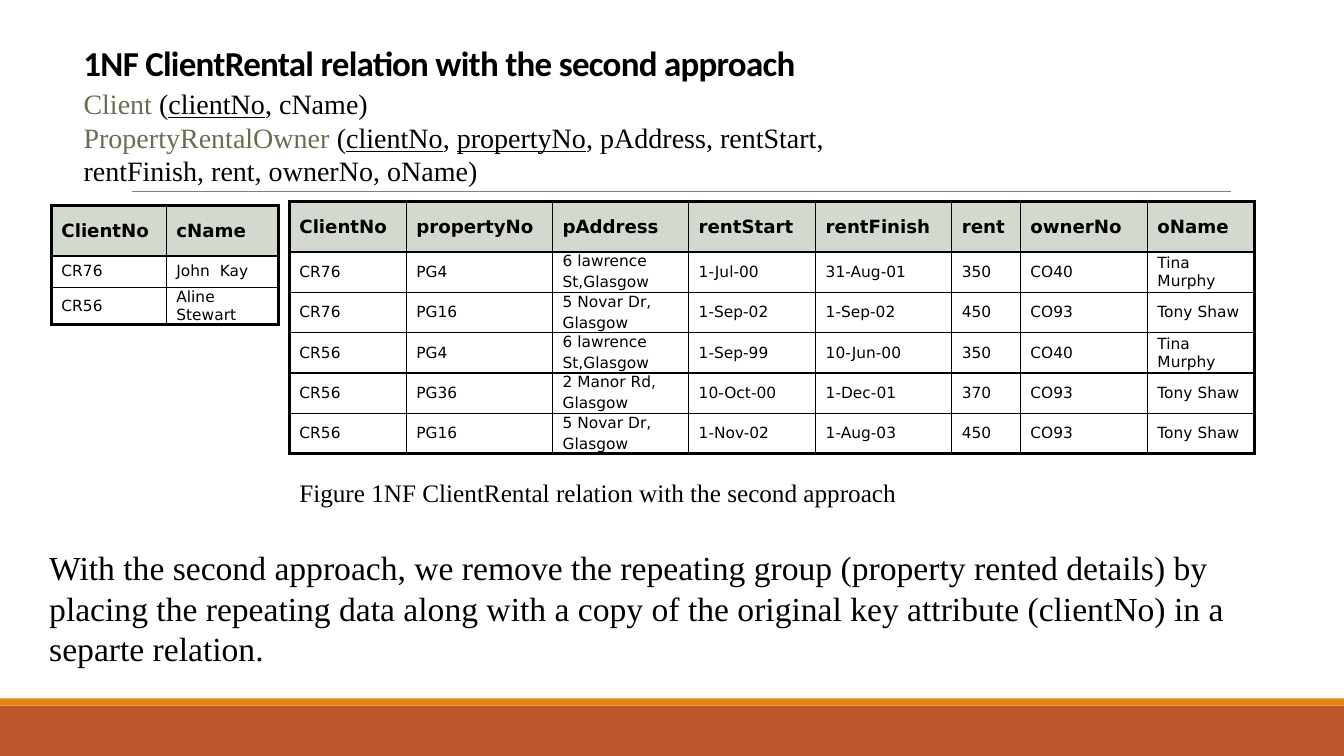
from pptx import Presentation
from pptx.dml.color import RGBColor
from pptx.enum.shapes import MSO_CONNECTOR as Link, MSO_SHAPE as Shape
from pptx.enum.text import MSO_ANCHOR as Anchor
from pptx.oxml import parse_xml
from pptx.oxml.ns import nsdecls
from pptx.util import Inches, Pt

BLACK = RGBColor(0x00, 0x00, 0x00)
RUST = RGBColor(0xBD, 0x58, 0x2C)
ORANGE = RGBColor(0xE4, 0x83, 0x12)
GREY = RGBColor(0x80, 0x80, 0x80)
GREEN = RGBColor(0x63, 0x70, 0x52)
SAGE = RGBColor(0xD4, 0xD9, 0xCF)
SERIF, SANS, HEAD = "Times New Roman", "DejaVu Sans", "Calibri"
THICK, THIN = 2.25, 1

CLIENTS = [
    ["ClientNo", "cName"],
    ["CR76", "John  Kay"],
    ["CR56", "Aline Stewart"],
]
RENTALS = [
    ["ClientNo", "propertyNo", "pAddress", "rentStart",
     "rentFinish", "rent", "ownerNo", "oName"],
    ["CR76", "PG4", "6 lawrence\nSt,Glasgow", "1-Jul-00",
     "31-Aug-01", "350", "CO40", "Tina Murphy"],
    ["CR76", "PG16", "5 Novar Dr,\nGlasgow", "1-Sep-02",
     "1-Sep-02", "450", "CO93", "Tony Shaw"],
    ["CR56", "PG4", "6 lawrence\nSt,Glasgow", "1-Sep-99",
     "10-Jun-00", "350", "CO40", "Tina Murphy"],
    ["CR56", "PG36", "2 Manor Rd,\nGlasgow", "10-Oct-00",
     "1-Dec-01", "370", "CO93", "Tony Shaw"],
    ["CR56", "PG16", "5 Novar Dr,\nGlasgow", "1-Nov-02",
     "1-Aug-03", "450", "CO93", "Tony Shaw"],
]


def write(para, text, size, face=SERIF, color=BLACK, bold=False, under=False, track=0):
    """Add one run; track is letter spacing in points."""
    run = para.add_run()
    run.text = text
    font = run.font
    font.name, font.size, font.bold, font.underline = face, Pt(size), bold, under
    font.color.rgb = color
    if track:
        run._r.get_or_add_rPr().set("spc", str(int(track * 100)))


def edge(cell, sides):
    """Draw cell borders from (side, width) pairs, in the order L, R, T, B."""
    props = cell._tc.get_or_add_tcPr()
    for side, width in sides:
        props.append(parse_xml(
            f'<a:ln{side} {nsdecls("a")} w="{Pt(width)}"><a:solidFill>'
            f'<a:srgbClr val="{BLACK}"/></a:solidFill></a:ln{side}>'))


class Page:
    def __init__(self, slide):
        self.shapes = slide.shapes

    def band(self, top, high, color):
        bar = self.shapes.add_shape(
            Shape.RECTANGLE, 0, Inches(top), Inches(13.33), Inches(high))
        bar.shadow.inherit = False
        bar.fill.solid()
        bar.fill.fore_color.rgb = color
        bar.line.fill.background()

    def rule(self, left, right, top):
        line = self.shapes.add_connector(
            Link.STRAIGHT, Inches(left), Inches(top), Inches(right), Inches(top))
        line.line.color.rgb = GREY
        line.line.width = Pt(0.5)
        line._element.spPr.append(parse_xml(f'<a:effectLst {nsdecls("a")}/>'))

    def box(self, left, top, wide, high, wrap=True):
        box = self.shapes.add_textbox(
            Inches(left), Inches(top), Inches(wide), Inches(high))
        box.text_frame.word_wrap = wrap
        return box.text_frame

    def table(self, left, top, cols, rows, data):
        grid = self.shapes.add_table(
            len(rows), len(cols), Inches(left), Inches(top),
            Inches(sum(cols)), Inches(sum(rows))).table
        grid.first_row = grid.horz_banding = False
        for col, wide in zip(grid.columns, cols):
            col.width = Inches(wide)
        for row, high in zip(grid.rows, rows):
            row.height = Inches(high)
        for r, line in enumerate(data):
            for c, text in enumerate(line):
                cell = grid.cell(r, c)
                outer = {"L": c == 0, "R": c == len(cols) - 1,
                         "T": r == 0, "B": r == len(rows) - 1}
                edge(cell, [(side, THICK if out else THIN)
                            for side, out in outer.items()])
                self.fill(cell, text, head=r == 0)

    def fill(self, cell, text, head):
        cell.vertical_anchor = Anchor.MIDDLE
        cell.margin_top = cell.margin_bottom = 0
        if head:
            cell.fill.solid()
            cell.fill.fore_color.rgb = SAGE
        else:
            cell.fill.background()
        frame = cell.text_frame
        for i, part in enumerate(text.split("\n")):
            para = frame.add_paragraph() if i else frame.paragraphs[0]
            if i:
                para.space_before = Pt(2.2)
            write(para, part, 13 if head else 11, face=SANS, bold=head)


def main():
    deck = Presentation()
    deck.slide_width, deck.slide_height = Inches(13.33), Inches(7.5)
    page = Page(deck.slides.add_slide(deck.slide_layouts[6]))

    page.band(7, 0.5, RUST)
    page.band(6.93, 0.07, ORANGE)
    page.rule(1.31, 12.21, 1.9)

    title = page.box(0.73, 0.24, 11, 0.82)
    title.vertical_anchor = Anchor.MIDDLE
    title.paragraphs[0].line_spacing = 0.85
    write(title.paragraphs[0], "1NF ClientRental relation with the second approach",
          25, face=HEAD, bold=True, track=-0.5)

    note = page.box(0.39, 5.38, 12.2, 1.31)
    write(note.paragraphs[0],
          "With the second approach, we remove the repeating group (property rented "
          "details) by placing the repeating data along with a copy of the original "
          "key attribute (clientNo) in a separte relation.", 24)

    schema = page.box(0.73, 0.81, 9.08, 1.1)
    schema.margin_right = Inches(1)
    relations = [
        ("Client ", ["clientNo"], ", cName)"),
        ("PropertyRentalOwner ", ["clientNo", "propertyNo"],
         ", pAddress, rentStart, rentFinish, rent, ownerNo, oName)"),
    ]
    for i, (name, keys, rest) in enumerate(relations):
        para = schema.add_paragraph() if i else schema.paragraphs[0]
        write(para, name, 20, color=GREEN)
        for k, key in enumerate(keys):
            write(para, ", " if k else "(", 20)
            write(para, key, 20, under=True)
        write(para, rest, 20)

    page.table(0.51, 2.04, [1.14, 1.11], [0.5, 0.31, 0.37], CLIENTS)
    page.table(2.87, 2, [1.16, 1.45, 1.35, 1.26, 1.35, 0.68, 1.26, 1.06],
               [0.5] + [0.4] * 5, RENTALS)

    caption = page.box(2.87, 4.69, 6.38, 0.4, wrap=False)
    write(caption.paragraphs[0],
          "Figure 1NF ClientRental relation with the second approach", 18)

    deck.save("out.pptx")


if __name__ == "__main__":
    main()
